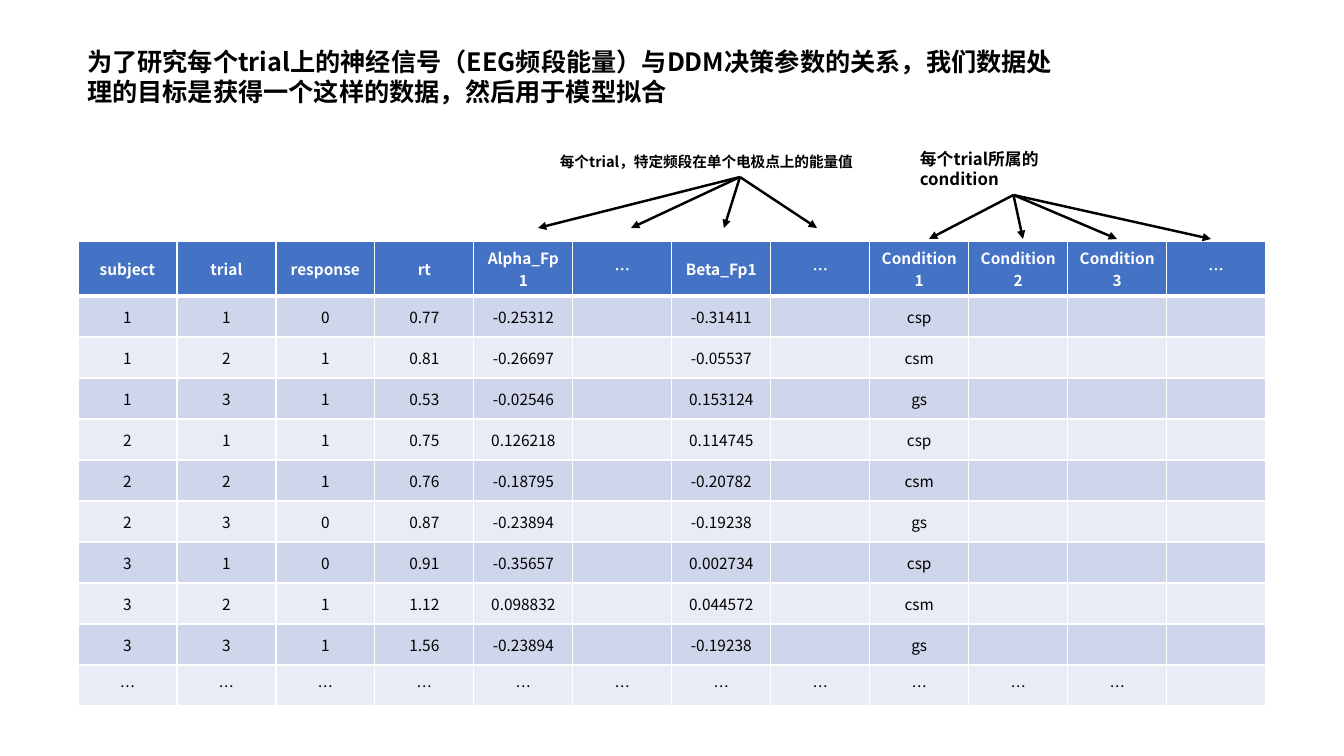
from pptx import Presentation, util as u
from pptx.dml.color import RGBColor
from pptx.enum import shapes, text
from pptx.oxml.ns import qn
from lxml import etree

PX = 914400 / 100.8
FONT = "Noto Sans CJK SC"
COLORS = {"ink": "000000", "white": "FFFFFF", "header": "4472C4",
          "odd": "CFD5EA", "even": "E9EBF5"}

HEADINGS = ["subject", "trial", "response", "rt", "Alpha_Fp1", "…", "Beta_Fp1", "…",
            "Condition1", "Condition2", "Condition3", "…"]
CONDITIONS = ["csp", "csm", "gs"]
TRIALS = [
    ("0", "0.77", "-0.25312", "-0.31411"),
    ("1", "0.81", "-0.26697", "-0.05537"),
    ("1", "0.53", "-0.02546", "0.153124"),
    ("1", "0.75", "0.126218", "0.114745"),
    ("1", "0.76", "-0.18795", "-0.20782"),
    ("0", "0.87", "-0.23894", "-0.19238"),
    ("0", "0.91", "-0.35657", "0.002734"),
    ("1", "1.12", "0.098832", "0.044572"),
    ("1", "1.56", "-0.23894", "-0.19238"),
]
VALUE_COLUMNS = (4, 6, 8)
COLUMN_WIDTH, HEADING_HEIGHT, ROW_HEIGHT = 99, 55, 41


def px(length):
    """Turn a length in px into EMU."""
    return u.Emu(round(length * PX))


def rgb(name):
    """Look up a palette colour."""
    return RGBColor.from_string(COLORS[name])


def write(frame, words, size, color="ink", bold=False, align=text.PP_ALIGN.LEFT):
    """Put one formatted paragraph in a text frame."""
    paragraph = frame.paragraphs[0]
    paragraph.alignment = align
    paragraph.line_spacing = 1.0
    run = paragraph.add_run()
    run.text = words
    font = run.font
    font.size, font.bold, font.name = u.Pt(size), bold, FONT
    font.color.rgb = rgb(color)
    etree.SubElement(run._r.get_or_add_rPr(), qn("a:ea"), typeface=FONT)


def fill_caption(box, words, size):
    """Give a title or note its bold wrapped text."""
    frame = box.text_frame
    frame.word_wrap = True
    frame.auto_size = text.MSO_AUTO_SIZE.SHAPE_TO_FIT_TEXT
    frame.vertical_anchor = text.MSO_ANCHOR.TOP
    write(frame, words, size, bold=True)


def add_title(slide, words):
    """Place the slide title."""
    title = slide.shapes.title
    title.left, title.top, title.width, title.height = map(px, (77, 41, 1007, 72))
    fill_caption(title, words, 18)


def add_arrow(slide, note, x, y):
    """Draw an arrow from the bottom of a note to a point."""
    arrow = slide.shapes.add_connector(shapes.MSO_CONNECTOR.STRAIGHT, 0, 0, px(x), px(y))
    arrow.begin_connect(note, 2)
    arrow.line.width = u.Pt(1.75)
    arrow.line.color.rgb = rgb("ink")
    etree.SubElement(arrow.line._get_or_add_ln(), qn("a:tailEnd"), type="triangle")
    etree.SubElement(arrow._element.spPr, qn("a:effectLst"))


def add_note(slide, bounds, words, size, first_x, step, tip_y):
    """Place a note with four arrows fanning out to evenly spaced columns."""
    note = slide.shapes.add_textbox(*map(px, bounds))
    fill_caption(note, words, size)
    for i in range(4):
        add_arrow(slide, note, first_x + step * i, tip_y)


def add_borders(cell, top, bottom):
    """Draw white borders around a cell, widths in points."""
    properties = cell._tc.get_or_add_tcPr()
    for side, width in zip("LRTB", (1, 1, top, bottom)):
        line = etree.SubElement(properties, qn(f"a:ln{side}"), w=str(u.Pt(width)))
        solid = etree.SubElement(line, qn("a:solidFill"))
        etree.SubElement(solid, qn("a:srgbClr"), val=COLORS["white"])


def table_rows():
    """List the heading, trial and continuation rows."""
    rows = [HEADINGS]
    for i, (response, rt, alpha, beta) in enumerate(TRIALS):
        subject, trial = divmod(i, 3)
        rows.append([str(subject + 1), str(trial + 1), response, rt, alpha, "",
                     beta, "", CONDITIONS[trial], "", "", ""])
    return rows + [["…"] * 11 + [""]]


def add_trial_table(slide):
    """Build the table of trials."""
    rows = table_rows()
    count, width = len(rows), len(HEADINGS)
    height = HEADING_HEIGHT + ROW_HEIGHT * (count - 1)
    table = slide.shapes.add_table(count, width, px(78), px(241),
                                   px(COLUMN_WIDTH * width), px(height)).table
    for column in table.columns:
        column.width = px(COLUMN_WIDTH)
    for r, row in enumerate(rows):
        heading = r == 0
        table.rows[r].height = px(HEADING_HEIGHT if heading else ROW_HEIGHT)
        fill = "header" if heading else "odd" if r % 2 else "even"
        for c, words in enumerate(row):
            cell = table.cell(r, c)
            cell.vertical_anchor = text.MSO_ANCHOR.MIDDLE
            if c in VALUE_COLUMNS and 0 < r < count - 1:
                cell.margin_left = cell.margin_right = cell.margin_top = px(1)
                cell.margin_bottom = 0
            add_borders(cell, 3 if r == 1 else 1, 3 if heading else 1)
            cell.fill.solid()
            cell.fill.fore_color.rgb = rgb(fill)
            if words:
                write(cell.text_frame, words, 11, "white" if heading else "ink",
                      bold=heading, align=text.PP_ALIGN.CENTER)


def main():
    """Build and save the slide."""
    deck = Presentation()
    deck.slide_width, deck.slide_height = px(1344), px(756)
    slide = deck.slides.add_slide(deck.slide_layouts[5])
    add_title(slide, "为了研究每个trial上的神经信号（EEG频段能量）与DDM决策参数的关系，"
                     "我们数据处理的目标是获得一个这样的数据，然后用于模型拟合")
    add_trial_table(slide)
    add_note(slide, (550, 148, 380, 29), "每个trial，特定频段在单个电极点上的能量值",
             10.5, 538, 93, 228)
    add_note(slide, (910, 144, 207, 51), "每个trial所属的condition", 12, 929, 94, 239)
    deck.save("out.pptx")


if __name__ == "__main__":
    main()
